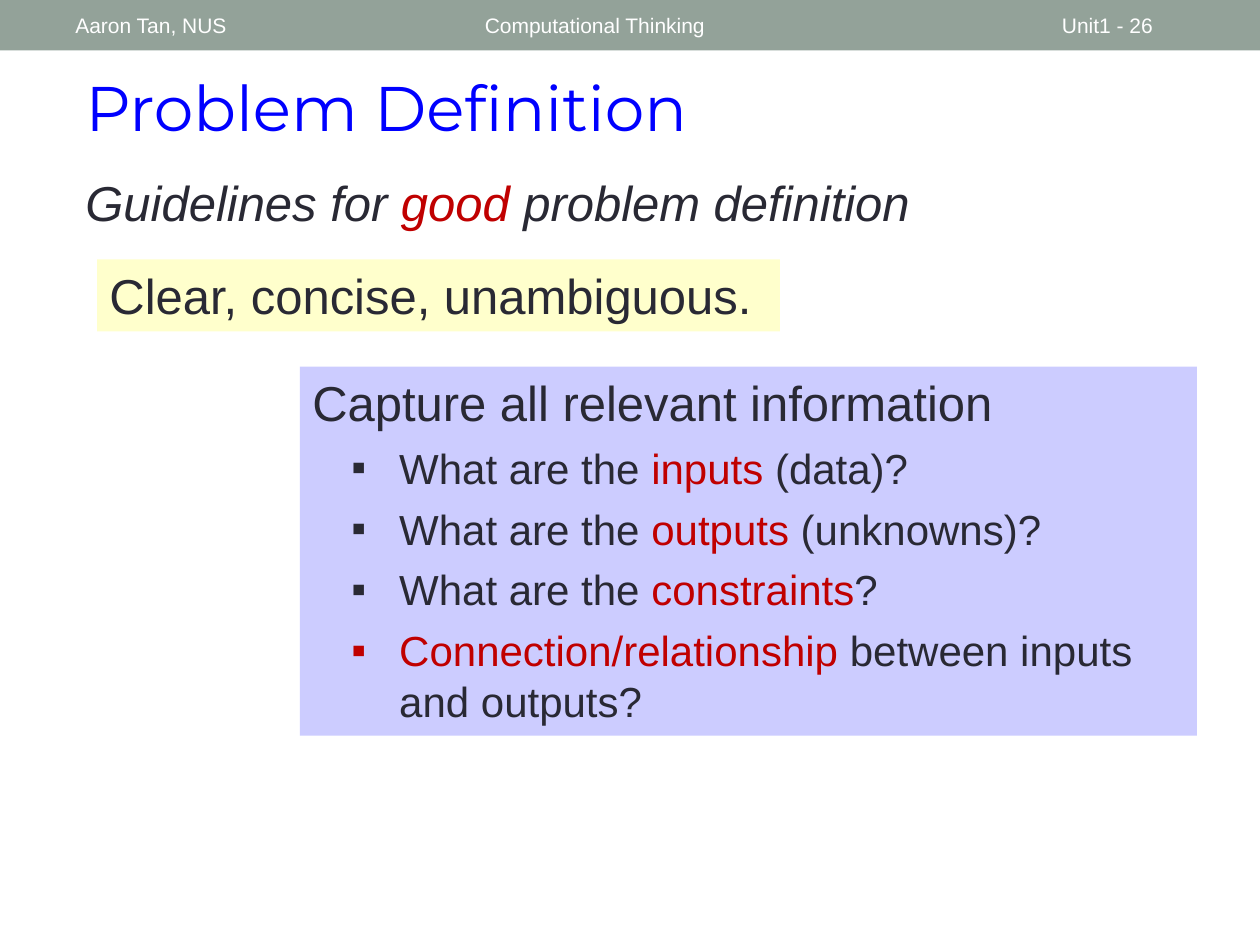
from lxml import etree
from pptx import Presentation
from pptx.dml.color import RGBColor
from pptx.enum.shapes import MSO_SHAPE
from pptx.enum.text import MSO_ANCHOR, MSO_AUTO_SIZE, PP_ALIGN
from pptx.oxml.ns import qn
from pptx.util import Inches, Pt

RECT = MSO_SHAPE.RECTANGLE
TOP, MIDDLE = MSO_ANCHOR.TOP, MSO_ANCHOR.MIDDLE
NO_FIT = MSO_AUTO_SIZE.NONE
LEFT = PP_ALIGN.LEFT
SAGE = RGBColor(0x93, 0xA2, 0x99)
WHITE = RGBColor(0xFF, 0xFF, 0xFF)
BLUE = RGBColor(0x00, 0x00, 0xFF)
DARK = RGBColor(0x29, 0x29, 0x34)
RED = RGBColor(0xC0, 0x00, 0x00)
YELLOW = RGBColor(0xFF, 0xFF, 0xCC)
LAVENDER = RGBColor(0xCC, 0xCC, 0xFF)


def add_box(x, y, w, h, fill=None, anchor=TOP):
    if fill is None:
        sp = s.shapes.add_textbox(Inches(x), Inches(y), Inches(w), Inches(h))
    else:
        sp = s.shapes.add_shape(RECT, Inches(x), Inches(y), Inches(w), Inches(h))
        sp.shadow.inherit = False
        sp.fill.solid()
        sp.fill.fore_color.rgb = fill
        sp.line.fill.background()
    tf = sp.text_frame
    tf.word_wrap = True
    tf.vertical_anchor = anchor
    tf.paragraphs[0].alignment = LEFT
    return tf


def add_runs(p, size, *runs, italic=False, font="Arial"):
    for text, color in runs:
        r = p.add_run()
        r.text = text
        r.font.name = font
        r.font.size = Pt(size)
        r.font.italic = italic
        r.font.color.rgb = color


prs = Presentation()
prs.slide_width = Inches(10)
prs.slide_height = Inches(7.5)
s = prs.slides.add_slide(prs.slide_layouts[5])

add_box(0, 0, 10, 0.4, SAGE)
for text, x, w in [
    ("Computational Thinking", 3.75, 4.5),
    ("Unit1 - 26", 8.33, 1.17),
    ("Aaron Tan, NUS", 0.5, 3.17),
]:
    tf = add_box(x, 0.02, w, 0.36, anchor=MIDDLE)
    add_runs(tf.paragraphs[0], 12, (text, WHITE))

title = s.shapes.title
title.left, title.top = Inches(0.58), Inches(0.49)
title.width, title.height = Inches(8.49), Inches(0.71)
tf = title.text_frame
tf.auto_size = NO_FIT
tf.vertical_anchor = TOP
tf.paragraphs[0].alignment = LEFT
add_runs(tf.paragraphs[0], 36, ("Problem Definition", BLUE), font="Montserrat")

tf = add_box(0.58, 1.32, 7.67, 0.57)
add_runs(tf.paragraphs[0], 28, ("Guidelines for ", DARK), ("good", RED),
         (" problem definition", DARK), italic=True)

tf = add_box(0.77, 2.06, 5.42, 0.57, YELLOW)
add_runs(tf.paragraphs[0], 28, ("Clear, concise, unambiguous.", DARK))

tf = add_box(2.38, 2.91, 7.12, 2.93, LAVENDER)
p = tf.paragraphs[0]
p.space_after = Pt(6)
add_runs(p, 28, ("Capture all relevant information", DARK))

questions = [
    [("What are the ", DARK), ("inputs", RED), (" (data)?", DARK)],
    [("What are the ", DARK), ("outputs", RED), (" (unknowns)?", DARK)],
    [("What are the ", DARK), ("constraints", RED), ("?", DARK)],
    [("Connection/relationship ", RED), ("between inputs and outputs?", DARK)],
]
for runs in questions:
    p = tf.add_paragraph()
    p.alignment = LEFT
    p.space_after = Pt(6)
    pPr = p._p.get_or_add_pPr()
    pPr.set("marL", str(Inches(0.69)))
    pPr.set("indent", str(Inches(-0.38)))
    etree.SubElement(pPr, qn("a:buFont")).set("typeface", "Arial")
    etree.SubElement(pPr, qn("a:buChar")).set("char", "▪")
    add_runs(p, 24, *runs)

prs.save("out.pptx")
